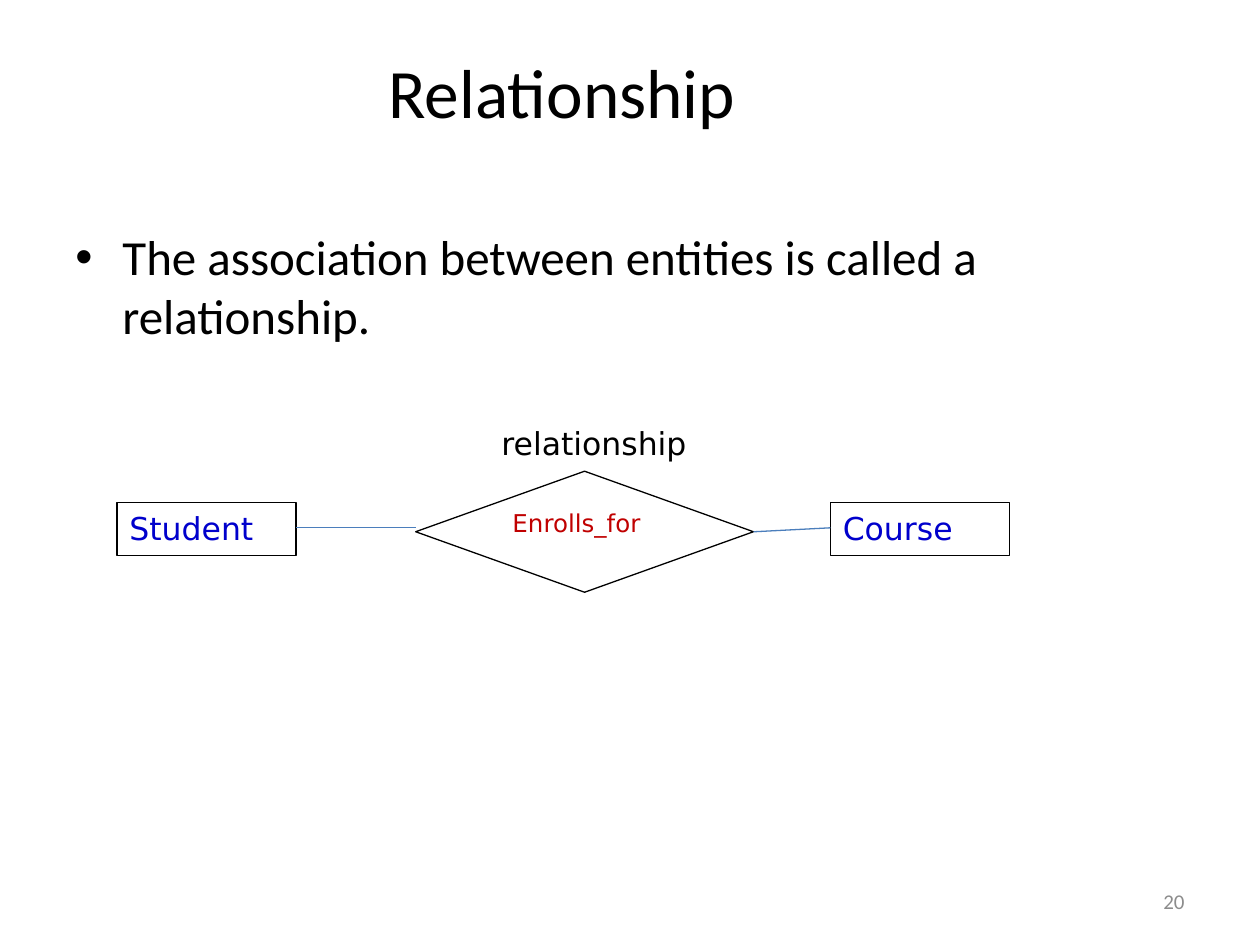
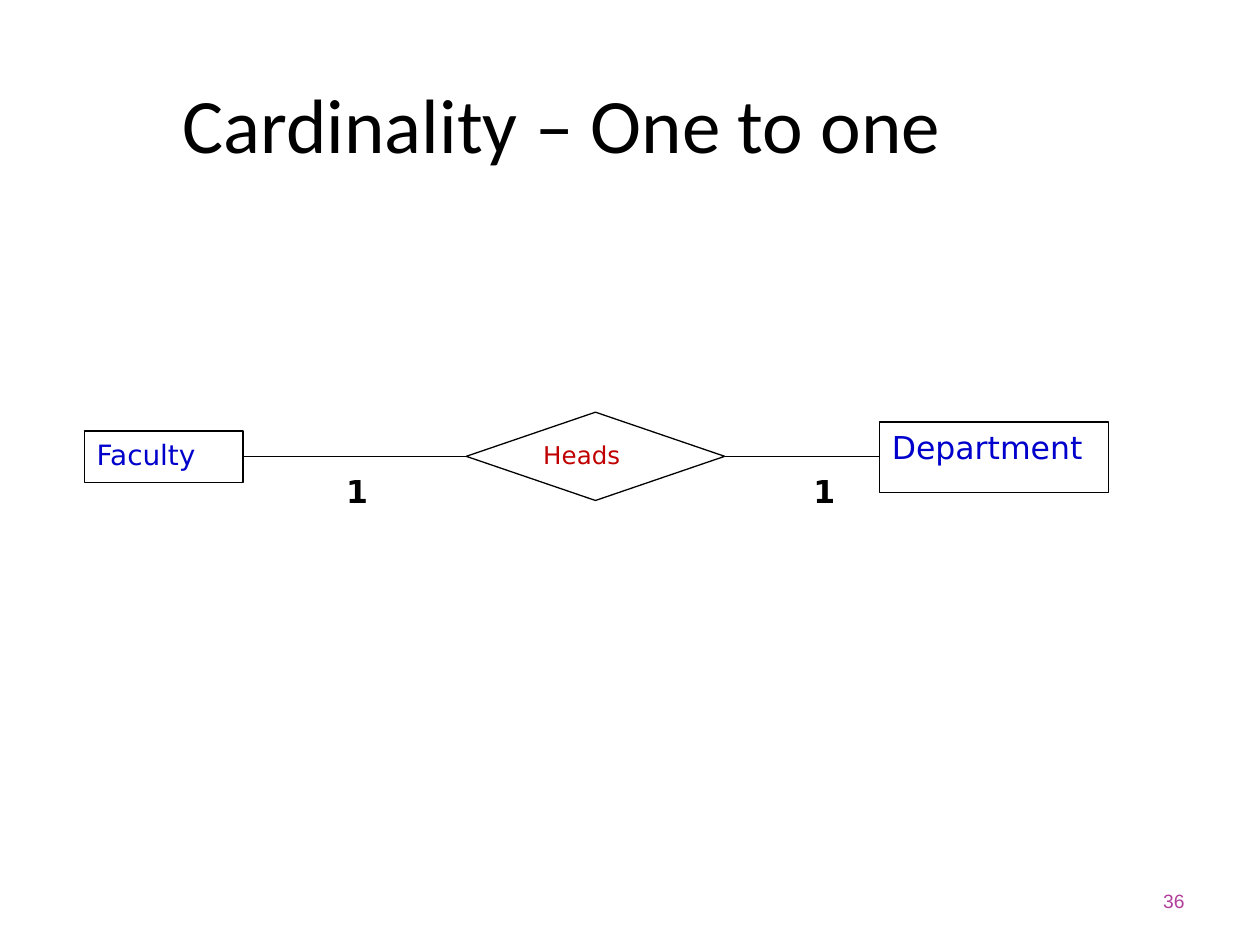
import pptx
import pptx.dml.color
import pptx.enum.shapes
import pptx.enum.text
import pptx.oxml.ns
import pptx.util
from lxml import etree

Cm = pptx.util.Cm
Pt = pptx.util.Pt
RGBColor = pptx.dml.color.RGBColor
SHAPES = pptx.enum.shapes.MSO_SHAPE
ALIGN = pptx.enum.text.PP_ALIGN
ANCHOR = pptx.enum.text.MSO_ANCHOR
qn = pptx.oxml.ns.qn

# Shared style
BLACK = RGBColor(0x00, 0x00, 0x00)
ENTITY_BLUE = RGBColor(0x00, 0x00, 0xCC)
RELATION_RED = RGBColor(0xC0, 0x00, 0x00)
LINK_BLUE = RGBColor(0x4B, 0x7E, 0xBC)
PAGE_GREY = RGBColor(0x8C, 0x8C, 0x8C)
PAGE_PURPLE = RGBColor(0xB1, 0x3F, 0x9A)
TEXT_FONT = "Calibri"
DIAGRAM_FONT = "DejaVu Sans"
LINE_WIDTH = Pt(0.75)
BULLET_INDENT = Cm(0.95)


def write_text(frame, text, *, size, color=BLACK, font=DIAGRAM_FONT, bold=False,
               align=ALIGN.LEFT, anchor=ANCHOR.TOP, wrap=True):
    """Fill a text frame with one formatted paragraph and return it."""
    frame.word_wrap = wrap
    frame.vertical_anchor = anchor
    paragraph = frame.paragraphs[0]
    paragraph.alignment = align
    run = paragraph.add_run()
    run.text = text
    run.font.name = font
    run.font.size = Pt(size)
    run.font.bold = bold
    run.font.color.rgb = color
    return paragraph


def add_text(slide, text, left, top, width, height, **style):
    box = slide.shapes.add_textbox(Cm(left), Cm(top), Cm(width), Cm(height))
    return write_text(box.text_frame, text, **style)


def add_title(slide, text, height, size):
    add_text(slide, text, 1.27, 0.89, 20.12, height, size=size, font=TEXT_FONT,
             align=ALIGN.CENTER, anchor=ANCHOR.MIDDLE)


def add_page_number(slide, number, **style):
    add_text(slide, number, 18.21, 17.65, 5.92, 1.02, align=ALIGN.RIGHT,
             anchor=ANCHOR.MIDDLE, **style)


def add_bullet(slide, text):
    bullet = add_text(slide, text, 1.27, 4.45, 20.12, 13.46, size=28, font=TEXT_FONT)
    bullet.space_before = Pt(5.6)
    properties = bullet._p.get_or_add_pPr()
    properties.set("marL", str(BULLET_INDENT))
    properties.set("indent", str(-BULLET_INDENT))
    etree.SubElement(properties, qn("a:buFont")).set("typeface", "Arial")
    etree.SubElement(properties, qn("a:buChar")).set("char", "•")


def add_outline(slide, kind, text, left, top, width, height, **style):
    outline = slide.shapes.add_shape(kind, Cm(left), Cm(top), Cm(width), Cm(height))
    outline.shadow.inherit = False
    outline.fill.background()
    outline.line.color.rgb = BLACK
    outline.line.width = LINE_WIDTH
    write_text(outline.text_frame, text, **style)


def add_entity(slide, text, left, top, width, height, size=18):
    add_outline(slide, SHAPES.RECTANGLE, text, left, top, width, height,
                size=size, color=ENTITY_BLUE)


def add_relationship(slide, text, left, top, width, height):
    add_outline(slide, SHAPES.DIAMOND, text, left, top, width, height,
                size=14, color=RELATION_RED)


def add_link(slide, x1, y1, x2, y2, color=BLACK):
    link = slide.shapes.add_connector(pptx.enum.shapes.MSO_CONNECTOR.STRAIGHT,
                                      Cm(x1), Cm(y1), Cm(x2), Cm(y2))
    link.line.color.rgb = color
    link.line.width = LINE_WIDTH
    etree.SubElement(link._element.spPr, qn("a:effectLst"))


def build_relationship(slide):
    add_title(slide, "Relationship", 1.88, 39.6)
    add_bullet(slide, "The association between entities is called a relationship.")

    # Student enrolls for course
    for entity, left in (("Student", 2.36), ("Course", 16.74)):
        add_entity(slide, entity, left, 10.13, 3.61, 1.07)
    add_relationship(slide, "Enrolls_for", 8.38, 9.5, 6.81, 2.44)
    add_link(slide, 5.97, 10.64, 8.38, 10.64, LINK_BLUE)
    add_link(slide, 15.19, 10.72, 16.74, 10.64, LINK_BLUE)
    add_text(slide, "relationship", 9.86, 8.43, 4.27, 1.02, size=18, wrap=False)

    add_page_number(slide, "20", size=12, font=TEXT_FONT, color=PAGE_GREY)


def build_one_to_one(slide):
    add_title(slide, "Cardinality – One to one", 3.18, 44)

    # Faculty heads department
    add_entity(slide, "Faculty", 1.7, 8.69, 3.2, 1.04, size=16)
    add_relationship(slide, "Heads", 9.4, 8.31, 5.21, 1.78)
    add_entity(slide, "Department", 17.73, 8.51, 4.62, 1.42)

    # Links with their cardinality
    for start, end, cardinality_left in ((4.9, 9.4, 6.73), (14.61, 17.73, 16.15)):
        add_link(slide, start, 9.2, end, 9.2)
        add_text(slide, "1", cardinality_left, 9.4, 0.97, 1.02, size=18, bold=True,
                 wrap=False)

    add_page_number(slide, "36", size=11, font="Arial", color=PAGE_PURPLE)


def main():
    deck = pptx.Presentation()
    deck.slide_width = Cm(25.4)
    deck.slide_height = Cm(19.05)
    blank = deck.slide_layouts[6]
    for build in (build_relationship, build_one_to_one):
        build(deck.slides.add_slide(blank))
    deck.save("out.pptx")


if __name__ == "__main__":
    main()
